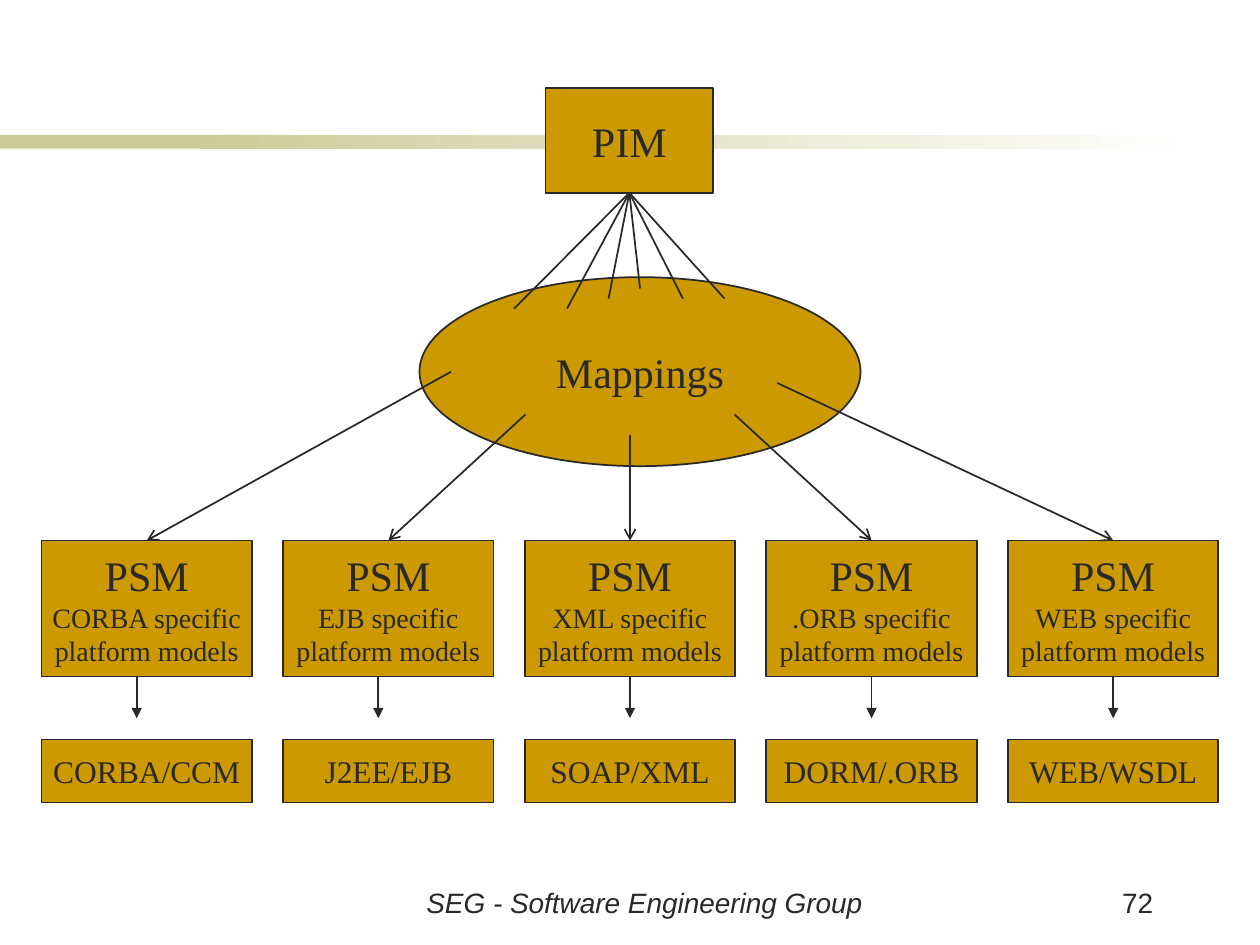
from lxml import etree
from pptx import Presentation
from pptx.dml.color import RGBColor
from pptx.enum.shapes import MSO_CONNECTOR, MSO_SHAPE
from pptx.enum.text import MSO_ANCHOR, PP_ALIGN
from pptx.oxml.ns import qn
from pptx.util import Inches, Pt

RECTANGLE = MSO_SHAPE.RECTANGLE
OVAL = MSO_SHAPE.OVAL
STRAIGHT = MSO_CONNECTOR.STRAIGHT
MIDDLE = MSO_ANCHOR.MIDDLE
CENTER = PP_ALIGN.CENTER
RIGHT = PP_ALIGN.RIGHT
TOP_SIDE, BOTTOM_SIDE = 0, 2

COLORS = {"ink": "292929", "gold": "CC9900", "band": "CCCC99", "white": "FFFFFF"}
SERIF, SANS = "Times New Roman", "Arial"

PLATFORMS = [
    ("CORBA", "CORBA/CCM"),
    ("EJB", "J2EE/EJB"),
    ("XML", "SOAP/XML"),
    (".ORB", "DORM/.ORB"),
    ("WEB", "WEB/WSDL"),
]
MAPPING_ENTRIES = [(4.08, 2.45), (4.5, 2.45), (4.83, 2.37), (5.08, 2.29), (5.42, 2.37), (5.75, 2.37)]
MAPPING_EXITS = [(3.58, 2.95), (4.17, 3.29), (5, 3.45), (5.83, 3.29), (6.17, 3.04)]


def color(name):
    return RGBColor.from_string(COLORS[name])


def inches(values):
    return [Inches(value) for value in values]


def write_text(shape, lines, font=SERIF, align=CENTER, italic=False, wrap=False):
    frame = shape.text_frame
    frame.word_wrap = wrap
    for index, (text, size) in enumerate(lines):
        paragraph = frame.add_paragraph() if index else frame.paragraphs[0]
        paragraph.alignment = align
        run = paragraph.add_run()
        run.text = text
        run.font.name = font
        run.font.size = Pt(size)
        run.font.italic = italic
        run.font.color.rgb = color("ink")


def add_node(slide, box, lines, kind=RECTANGLE):
    shape = slide.shapes.add_shape(kind, *inches(box))
    shape.shadow.inherit = False
    shape.fill.solid()
    shape.fill.fore_color.rgb = color("gold")
    shape.line.color.rgb = color("ink")
    shape.line.width = Pt(1)
    shape.text_frame.vertical_anchor = MIDDLE
    write_text(shape, lines)
    return shape


def add_line(slide, start, end, source=None, target=None, arrowhead=None):
    connector = slide.shapes.add_connector(STRAIGHT, *inches(start + end))
    if source is not None:
        connector.begin_connect(source, BOTTOM_SIDE)
    if target is not None:
        connector.end_connect(target, TOP_SIDE)
    connector.line.color.rgb = color("ink")
    connector.line.width = Pt(1)
    if arrowhead:
        etree.SubElement(connector.line._get_or_add_ln(), qn("a:tailEnd"), type=arrowhead)
    etree.SubElement(connector._element.spPr, qn("a:effectLst"))


def add_band(slide, box):
    left, top, width, height = box
    solid = slide.shapes.add_shape(RECTANGLE, *inches((left, top, 2.33, height)))
    solid.fill.solid()
    solid.fill.fore_color.rgb = color("band")
    fade = slide.shapes.add_shape(RECTANGLE, *inches((left + 1.58, top, width - 1.58, height)))
    fade.fill.gradient()
    fade.fill.gradient_angle = 0
    for stop, position, name in zip(fade.fill.gradient_stops, (0, 1), ("band", "white")):
        stop.position = position
        stop.color.rgb = color(name)
    for shape in (solid, fade):
        shape.shadow.inherit = False
        shape.line.fill.background()


def add_footer(slide, box):
    left, top, width, height = box
    group = slide.shapes.add_textbox(*inches((left, top, 5.75, height)))
    write_text(group, [("SEG - Software Engineering Group", 16)], font=SANS, italic=True, wrap=True)
    number = slide.shapes.add_textbox(*inches((left + width - 1.02, top, 1.02, height)))
    write_text(number, [("72", 16)], font=SANS, align=RIGHT, wrap=True)


def add_mappings(slide, box):
    left, top, width, height = box
    pim = add_node(slide, (left + 1, top, 1.33, 0.83), [("PIM", 24)])
    add_node(slide, (left, top + 1.5, width, height - 1.5), [("Mappings", 24)], kind=OVAL)
    for entry in MAPPING_ENTRIES:
        add_line(slide, (5, 1.54), entry, source=pim)


def add_platforms(slide, box):
    left, top, width, height = box
    node_width, model_height, product_height = 1.67, 1.08, 0.5
    pitch = (width - node_width) / (len(PLATFORMS) - 1)
    bottom = top + model_height
    for index, (platform, product) in enumerate(PLATFORMS):
        x = left + index * pitch
        center = x + node_width / 2
        model = add_node(
            slide,
            (x, top, node_width, model_height),
            [("PSM", 24), (f"{platform} specific", 16), ("platform models", 16)],
        )
        add_node(slide, (x, top + height - product_height, node_width, product_height), [(product, 18)])
        add_line(slide, MAPPING_EXITS[index], (center, top), target=model, arrowhead="arrow")
        if index < 2:
            center -= 0.08
        source = model if index >= 2 else None
        add_line(slide, (center, bottom), (center, bottom + 0.33), source=source, arrowhead="triangle")


def main():
    presentation = Presentation()
    presentation.slide_width = Inches(10)
    presentation.slide_height = Inches(7.5)
    slide = presentation.slides.add_slide(presentation.slide_layouts[6])
    add_band(slide, (0, 1.07, 9.5, 0.11))
    add_footer(slide, (2.24, 6.98, 7.01, 0.39))
    add_mappings(slide, (3.33, 0.7, 3.5, 3))
    add_platforms(slide, (0.33, 4.29, 9.34, 2.08))
    presentation.save("out.pptx")


if __name__ == "__main__":
    main()
